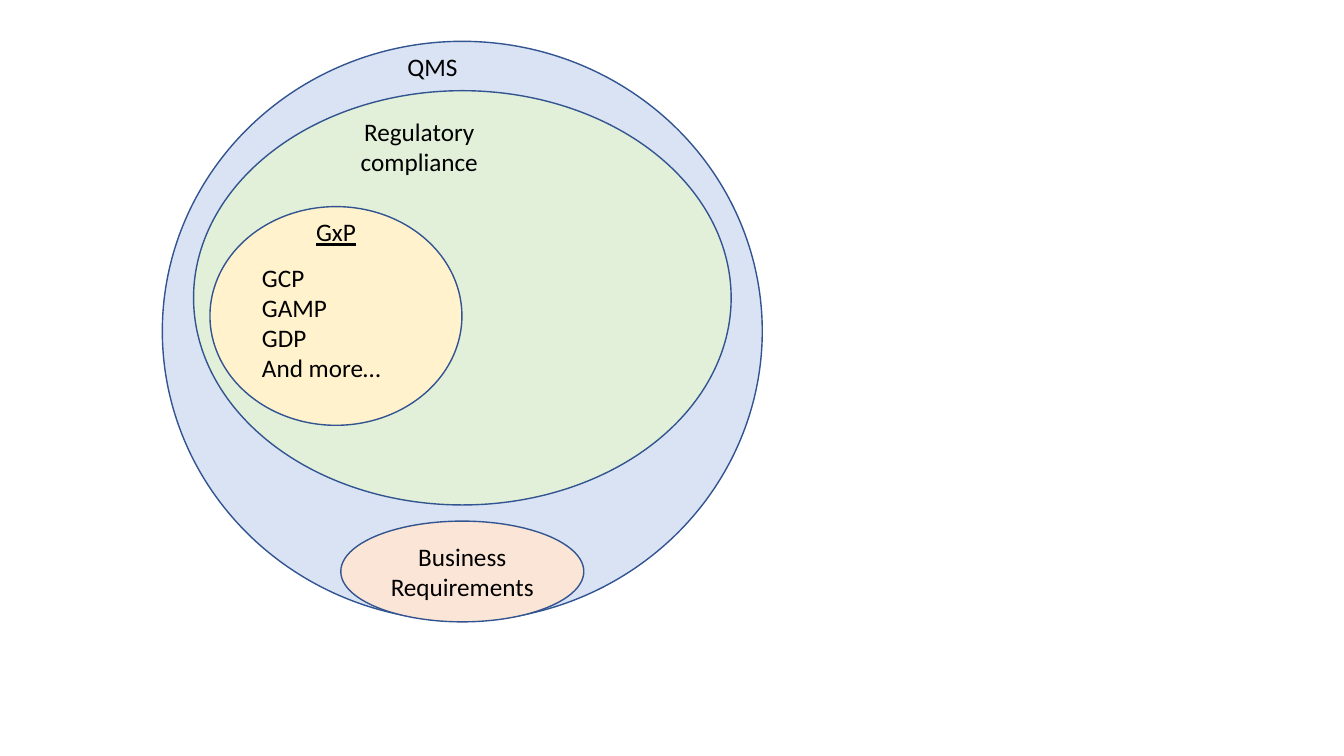
import pptx
import pptx.util
import pptx.dml.color
import pptx.enum.shapes
import pptx.enum.text
from dataclasses import dataclass


@dataclass(frozen=True)
class Theme:
    font: str = "Calibri"
    size: int = 18
    line_width: int = 1
    ink: str = "000000"
    outline: str = "325491"
    quality: str = "DAE3F3"
    business: str = "FBE5D6"
    regulatory: str = "E2F0D9"
    practice: str = "FFF2CC"


theme = Theme()
color = pptx.dml.color.RGBColor.from_string
align = pptx.enum.text.PP_ALIGN
anchor = pptx.enum.text.MSO_ANCHOR

deck = pptx.Presentation()
deck.slide_width = pptx.util.Inches(13.33)
deck.slide_height = pptx.util.Inches(7.5)
page = deck.slides.add_slide(deck.slide_layouts[6])


def place(center, top, width, height):
    across, down = deck.slide_width / 100, deck.slide_height / 100
    left = center - width / 2
    return [int(n) for n in (left * across, top * down, width * across, height * down)]


def write(box, text, alignment, vertical, underline=False):
    frame = box.text_frame
    frame.word_wrap = True
    frame.vertical_anchor = vertical
    frame.text = text
    for para in frame.paragraphs:
        para.alignment = alignment
        for span in para.runs:
            span.font.name = theme.font
            span.font.size = pptx.util.Pt(theme.size)
            span.font.color.rgb = color(theme.ink)
            span.font.underline = underline


main_axis = 34.4
practice_axis = 25

ellipses = [
    (theme.quality, (main_axis, 5.47, 44.64, 76.67), ""),
    (theme.business, (main_axis, 68.93, 18.08, 13.33), "Business Requirements"),
    (theme.regulatory, (main_axis, 12, 40, 54.8), ""),
    (theme.practice, (practice_axis, 27.33, 18.75, 28.93), ""),
]
for fill, area, text in ellipses:
    ellipse = page.shapes.add_shape(pptx.enum.shapes.MSO_SHAPE.OVAL, *place(*area))
    ellipse.shadow.inherit = False
    ellipse.fill.solid()
    ellipse.fill.fore_color.rgb = color(fill)
    ellipse.line.color.rgb = color(theme.outline)
    ellipse.line.width = pptx.util.Pt(theme.line_width)
    if text:
        write(ellipse, text, align.CENTER, anchor.MIDDLE)

labels = [
    ("QMS", (32.18, 6.13, 12.9, 5.33), align.CENTER, False),
    ("Regulatory compliance", (31.2, 14.67, 14.7, 9.47), align.CENTER, False),
    ("GxP", (practice_axis, 28, 7.95, 5.33), align.CENTER, True),
    ("GCP\nGAMP\nGDP\nAnd more…", (25.73, 34, 13.95, 17.47), align.LEFT, False),
]
for text, area, alignment, underline in labels:
    label = page.shapes.add_textbox(*place(*area))
    write(label, text, alignment, anchor.TOP, underline)

deck.save("out.pptx")
